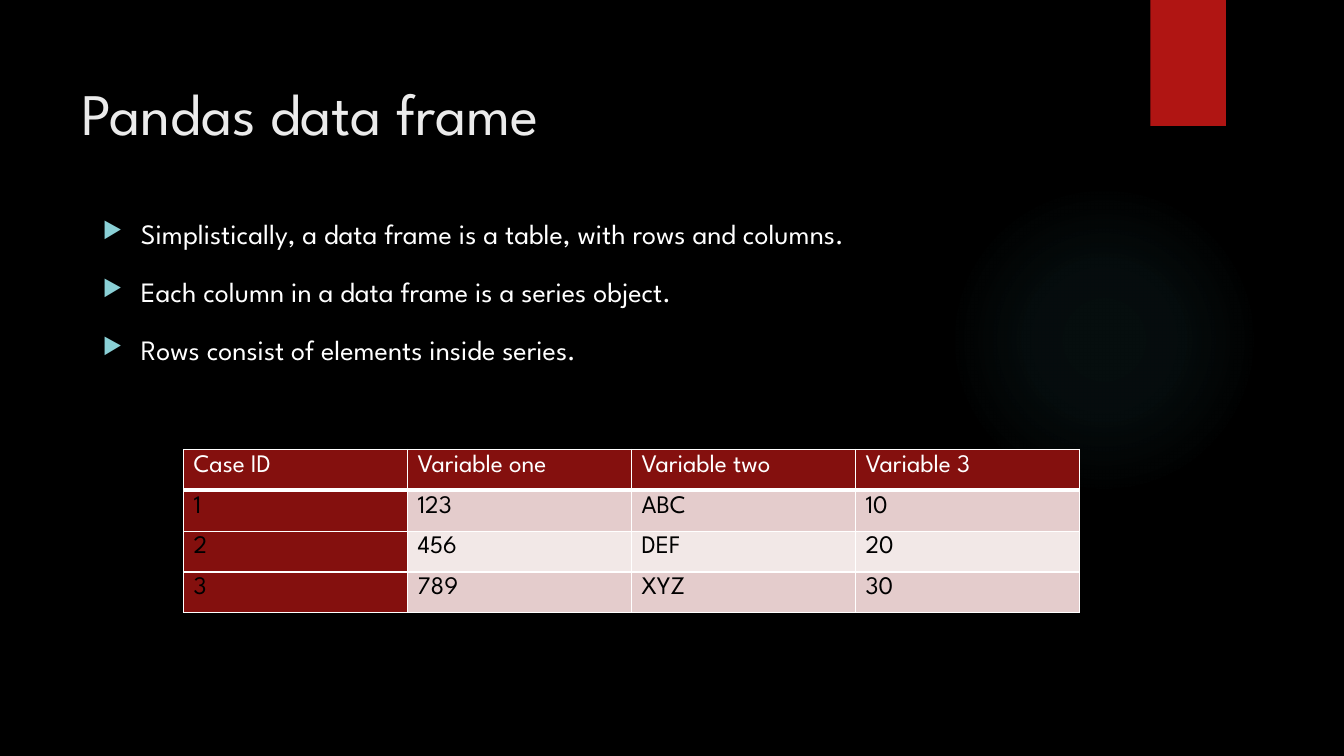
from dataclasses import dataclass
from lxml import etree
from pptx import Presentation, util as u
from pptx.dml.color import RGBColor
from pptx.enum import shapes, text
from pptx.oxml import parse_xml
from pptx.oxml.ns import nsdecls, qn


@dataclass(frozen=True)
class Theme:
    """Colours, font and type sizes of the slide."""
    font: str = "League Spartan"
    back: str = "000000"
    ribbon: str = "B01513"
    glow: str = "50B9C1"
    title: str = "EBEBEB"
    light: str = "FFFFFF"
    dark: str = "000000"
    bullet: str = "8AD0D6"
    head: str = "84100E"
    bands: tuple = ("E4CCCC", "F2E8E7")
    title_pt: int = 42
    body_pt: int = 20
    cell_pt: int = 18


T = Theme()
W, H = 13.33, 7.5
BULLETS = [
    "Simplistically, a data frame is a table, with rows and columns.",
    "Each column in a data frame is a series object.",
    "Rows consist of elements inside series.",
]
ROWS = [
    ["Case ID", "Variable one", "Variable two", "Variable 3"],
    ["1", "123", "ABC", "10"],
    ["2", "456", "DEF", "20"],
    ["3", "789", "XYZ", "30"],
]


def inches(box):
    """Turn a box in inches into lengths."""
    return [u.Inches(v) for v in box]


def paint(fill, color):
    """Give a fill one solid colour."""
    fill.solid()
    fill.fore_color.rgb = RGBColor.from_string(color)


def style(p, size, color):
    """Set the font of a paragraph."""
    p.font.name, p.font.size = T.font, u.Pt(size)
    p.font.color.rgb = RGBColor.from_string(color)


def add_plain(s, kind, box):
    """Add a shape without line or shadow."""
    sp = s.shapes.add_shape(kind, *inches(box))
    sp.shadow.inherit = False
    sp.line.fill.background()
    return sp


def add_glow(s, box):
    """Add a round glow that fades towards its edge."""
    sp = add_plain(s, shapes.MSO_SHAPE.OVAL, box)
    stops = "".join(
        f'<a:gs pos="{pos}000"><a:srgbClr val="{T.glow}"><a:alpha val="{alpha}000"/></a:srgbClr></a:gs>'
        for pos, alpha in ((0, 7), (36, 6), (69, 0)))
    sp._element.spPr.find(qn("a:prstGeom")).addnext(parse_xml(
        f'<a:gradFill {nsdecls("a")}><a:gsLst>{stops}</a:gsLst><a:path path="circle">'
        '<a:fillToRect l="50000" t="50000" r="50000" b="50000"/></a:path></a:gradFill>'))


def add_ribbon(s, box):
    """Add the ribbon that hangs from the top edge."""
    paint(add_plain(s, shapes.MSO_SHAPE.RECTANGLE, box).fill, T.ribbon)


def add_text(s, box, lines, size, color, spacing):
    """Add a wrapped text box with one paragraph per line."""
    tf = s.shapes.add_textbox(*inches(box)).text_frame
    tf.word_wrap = True
    tf.vertical_anchor = text.MSO_ANCHOR.TOP
    tf.text = "\n".join(lines)
    for p in tf.paragraphs:
        style(p, size, color)
        p.line_spacing = spacing
    return tf


def add_bullets(s, box, lines):
    """Add a list with triangular bullets."""
    for p in add_text(s, box, lines, T.body_pt, T.light, 1.3).paragraphs:
        p.space_before = u.Pt(10)
        pPr = p._p.get_or_add_pPr()
        pPr.set("marL", str(u.Inches(0.38)))
        pPr.set("indent", str(-u.Inches(0.38)))
        marks = parse_xml(
            f'<a:pPr {nsdecls("a")}><a:buClr><a:srgbClr val="{T.bullet}"/></a:buClr>'
            '<a:buSzPct val="80000"/><a:buChar char="▶"/></a:pPr>')
        at = pPr.index(pPr.find(qn("a:defRPr")))
        pPr[at:at] = list(marks)


def add_borders(cell, widths):
    """Draw the left, right, top and bottom lines of a cell."""
    tcPr = cell._tc.get_or_add_tcPr()
    for i, (side, width) in enumerate(zip("LRTB", widths)):
        ln = parse_xml(
            f'<a:ln{side} {nsdecls("a")} w="{u.Pt(width)}"><a:solidFill>'
            f'<a:srgbClr val="{T.light}"/></a:solidFill></a:ln{side}>')
        tcPr.insert(i, ln)


def add_frame_table(s, box, rows):
    """Add the data frame with a header row and an index column."""
    tb = s.shapes.add_table(len(rows), len(rows[0]), *inches(box)).table
    for i, row in enumerate(rows):
        for j, value in enumerate(row):
            cell = tb.cell(i, j)
            cell.text = value
            style(cell.text_frame.paragraphs[0], T.cell_pt, T.dark if i else T.light)
            paint(cell.fill, T.bands[(i - 1) % 2] if i and j else T.head)
            add_borders(cell, (1, 1, 3 if i == 1 else 1, 1 if i else 3))


def add_table_slide(prs):
    """Build the slide with title, bullets and table."""
    s = prs.slides.add_slide(prs.slide_layouts[6])
    paint(s.background.fill, T.back)
    add_glow(s, (9.41, 1.83, 3.08, 3.08))
    add_ribbon(s, (11.41, 0, 0.75, H / 6))
    add_text(s, (0.71, 0.5, 10.29, 1.53), ["Pandas data frame"], T.title_pt, T.title, 1.3)
    add_bullets(s, (0.92, 2, 11.5, 2.2), BULLETS)
    add_frame_table(s, (1.82, 4.46, W * 2 / 3, 1.62), ROWS)


def main():
    """Make the presentation and save it."""
    prs = Presentation()
    prs.slide_width, prs.slide_height = inches((W, H))
    add_table_slide(prs)
    prs.save("out.pptx")


if __name__ == "__main__":
    main()
